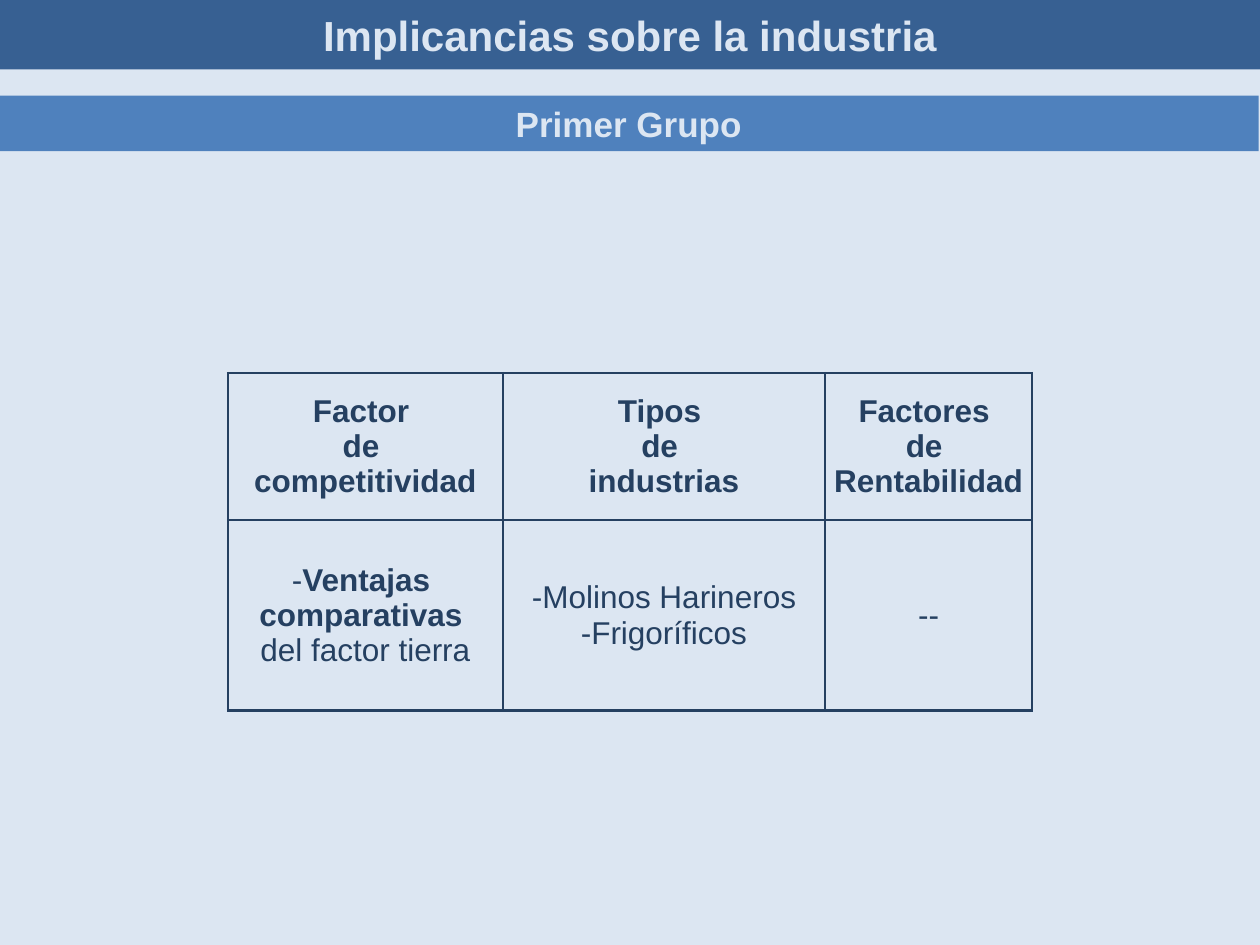
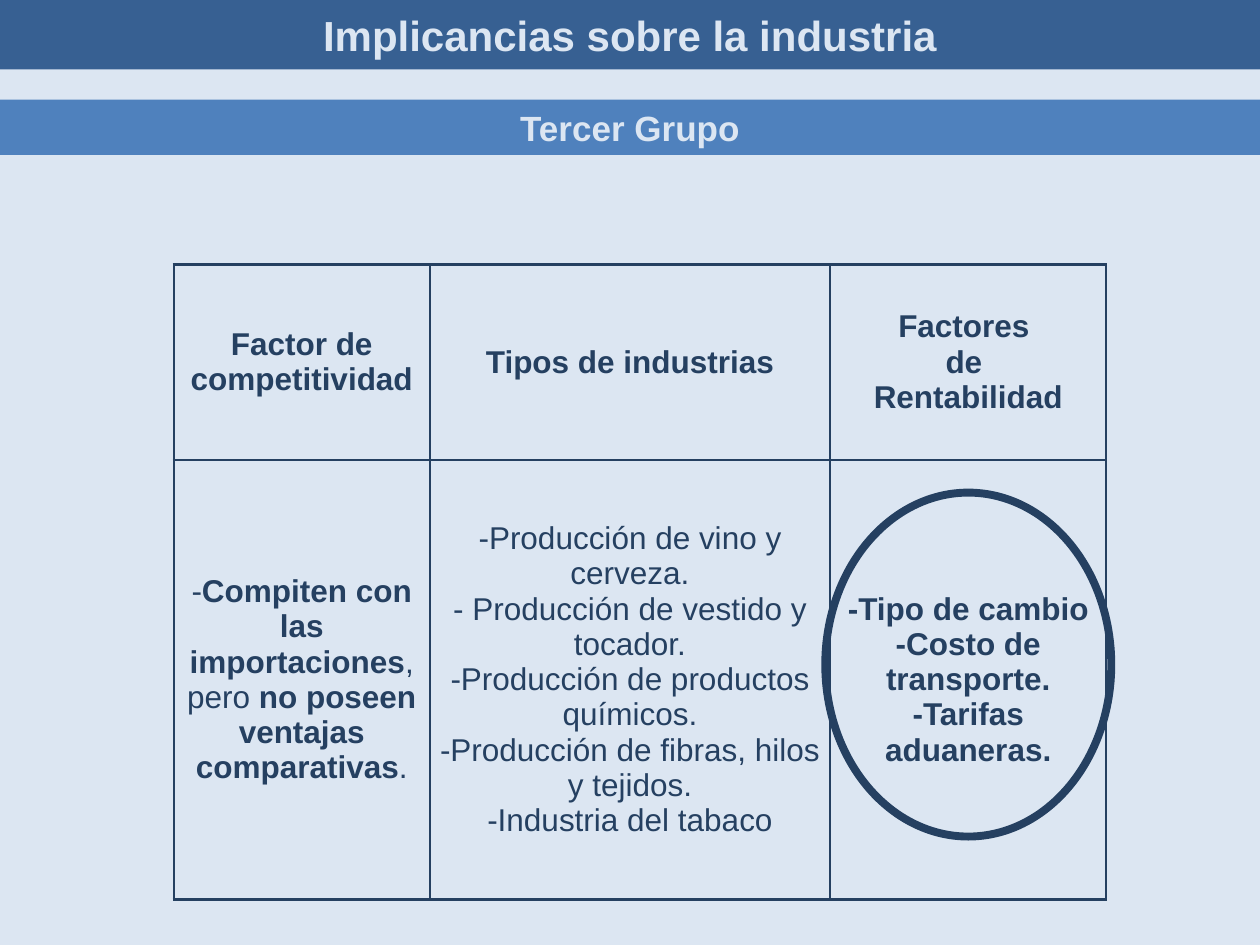
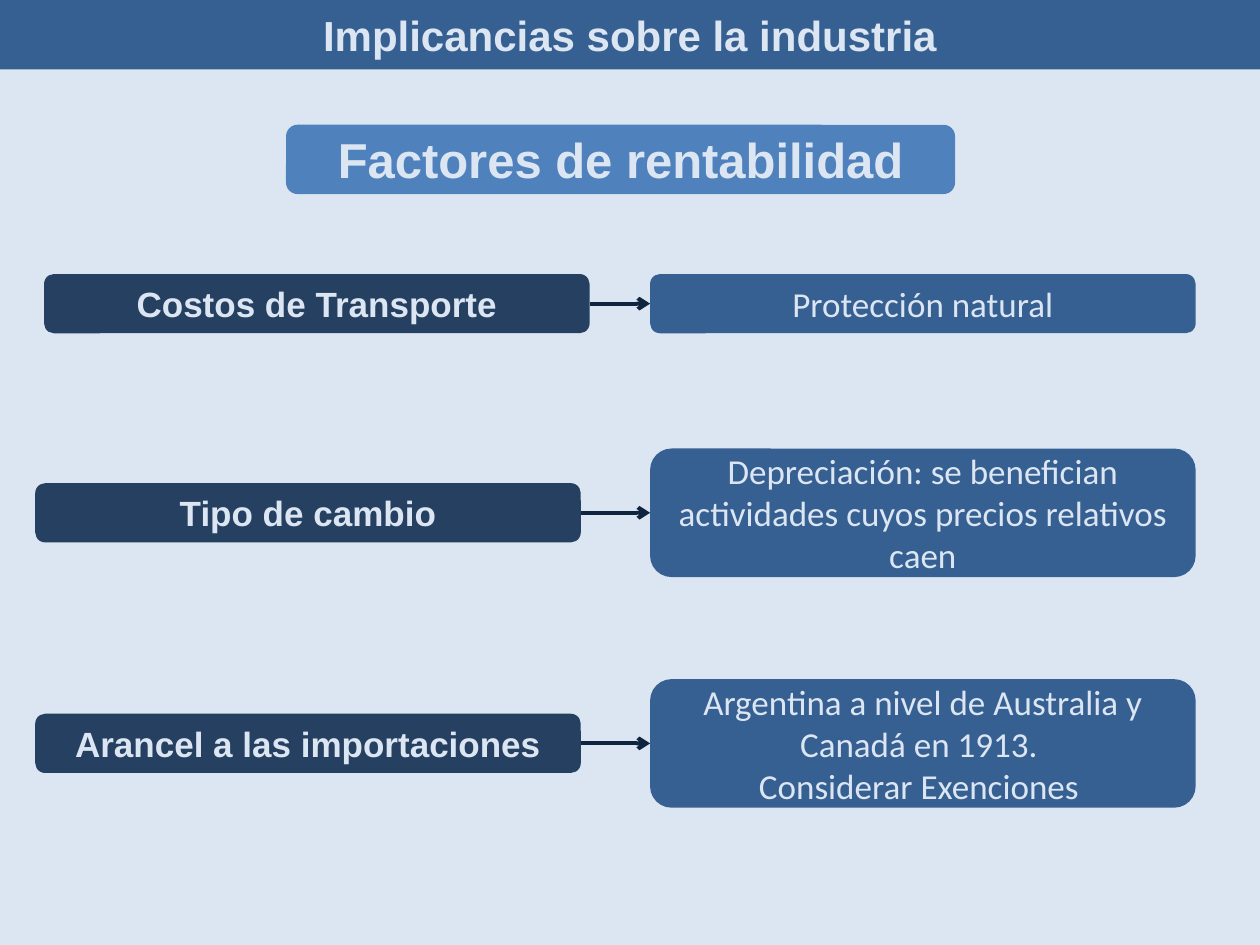
from dataclasses import dataclass

from lxml import etree
from pptx import Presentation
from pptx.dml.color import RGBColor
from pptx.enum import shapes, text
from pptx.oxml import ns
from pptx.util import Inches, Pt


@dataclass(frozen=True)
class Theme:
    pale: str = "DCE6F2"
    light: str = "4F81BD"
    medium: str = "376092"
    dark: str = "254061"
    arrow: str = "0F243E"
    heading_font: str = "Arial"
    body_font: str = "Calibri"
    table_size: float = 18
    body_size: float = 20
    title_size: float = 24
    topic_size: float = 28
    border_width: float = 1.5
    arrow_width: float = 2.25
    highlight_width: float = 4.5


@dataclass(frozen=True)
class Area:
    left: float
    top: float
    width: float
    height: float

    def lengths(self):
        return [Inches(n) for n in (self.left, self.top, self.width, self.height)]


@dataclass(frozen=True)
class Group:
    name: str
    band: Area
    left: float
    top: float
    columns: tuple[float, ...]
    rows: tuple[float, ...]
    cells: tuple[tuple[str, ...], ...]
    highlight: Area | None = None


@dataclass(frozen=True)
class Factor:
    name: str
    left: float
    middle: float
    effect: str
    effect_height: float


THEME = Theme()
SLIDE_WIDTH, SLIDE_HEIGHT = 10, 7.5
TITLE = "Implicancias sobre la industria"
TITLE_BAND = Area(0, 0, SLIDE_WIDTH, 0.55)
BOX_WIDTH, NAME_HEIGHT, EFFECT_LEFT = 4.33, 0.47, 5.16
PROFITABILITY = "**Factores \nde \nRentabilidad**"

GROUPS = (
    Group(
        "Primer Grupo", Area(-0.01, 0.76, SLIDE_WIDTH, 0.44),
        1.81, 2.96, (2.18, 2.56, 1.64), (1.17, 1.51),
        (
            ("**Factor \nde \ncompetitividad**", "**Tipos \nde \nindustrias**", PROFITABILITY),
            (
                "-**Ventajas \ncomparativas \n**del factor tierra",
                "-Molinos Harineros\n-Frigoríficos",
                "--",
            ),
        ),
    ),
    Group(
        "Tercer Grupo", Area(0, 0.79, SLIDE_WIDTH, 0.44),
        1.38, 2.1, (2.03, 3.18, 2.19), (1.55, 3.49),
        (
            ("**Factor de competitividad**", "**Tipos de industrias**", PROFITABILITY),
            (
                "-**Compiten con las importaciones**, pero "
                "**no poseen ventajas comparativas**.",
                "-Producción de vino y cerveza.\n"
                "- Producción de vestido y tocador.\n"
                "-Producción de productos químicos.\n"
                "-Producción de fibras, hilos y tejidos.\n"
                "-Industria del tabaco",
                "**-Tipo de cambio\n-Costo de transporte.\n-Tarifas aduaneras.**",
            ),
        ),
        Area(6.55, 3.91, 2.27, 2.73),
    ),
)

FACTORS = (
    Factor("Costos de Transporte", 0.35, 2.41, "Protección natural", NAME_HEIGHT),
    Factor(
        "Tipo de cambio", 0.28, 4.07,
        "Depreciación: se benefician actividades cuyos precios relativos caen", 1.02,
    ),
    Factor(
        "Arancel a las importaciones", 0.28, 5.9,
        "Argentina a nivel de Australia y Canadá en 1913. \nConsiderar Exenciones ", 1.02,
    ),
)


def rgb(color: str) -> RGBColor:
    return RGBColor.from_string(color)


def write(frame, content: str, *, size: float, color: str = THEME.pale,
          font: str = THEME.heading_font) -> None:
    frame.word_wrap = True
    bold = False
    for index, line in enumerate(content.split("\n")):
        paragraph = frame.paragraphs[0] if index == 0 else frame.add_paragraph()
        paragraph.alignment = text.PP_ALIGN.CENTER
        for part, words in enumerate(line.split("**")):
            if part:
                bold = not bold
            if words:
                run = paragraph.add_run()
                run.text = words
                run.font.size = Pt(size)
                run.font.name = font
                run.font.bold = bold
                run.font.color.rgb = rgb(color)


def add_box(slide, area: Area, fill: str, content: str, *, size: float = THEME.body_size,
            font: str = THEME.heading_font, kind=shapes.MSO_SHAPE.ROUNDED_RECTANGLE):
    box = slide.shapes.add_shape(kind, *area.lengths())
    box.shadow.inherit = False
    box.fill.solid()
    box.fill.fore_color.rgb = rgb(fill)
    box.line.fill.background()
    box.text_frame.vertical_anchor = text.MSO_ANCHOR.MIDDLE
    write(box.text_frame, content, size=size, font=font)
    return box


def add_title(slide) -> None:
    band = add_box(slide, TITLE_BAND, THEME.medium, f"**{TITLE}**", size=THEME.title_size)
    band.adjustments[0] = 0


def add_highlight(slide, area: Area) -> None:
    ring = slide.shapes.add_shape(shapes.MSO_SHAPE.OVAL, *area.lengths())
    ring.shadow.inherit = False
    ring.fill.background()
    ring.line.color.rgb = rgb(THEME.dark)
    ring.line.width = Pt(THEME.highlight_width)


def add_arrow(slide, source, target) -> None:
    arrow = slide.shapes.add_connector(shapes.MSO_CONNECTOR.STRAIGHT, 0, 0, 0, 0)
    arrow.begin_connect(source, 3)
    arrow.end_connect(target, 1)
    arrow.line.color.rgb = rgb(THEME.arrow)
    arrow.line.width = Pt(THEME.arrow_width)
    properties = arrow._element.spPr
    etree.SubElement(properties.find(ns.qn("a:ln")), ns.qn("a:tailEnd"), type="arrow")
    etree.SubElement(properties, ns.qn("a:effectLst"))


def set_borders(cell) -> None:
    properties = cell._tc.get_or_add_tcPr()
    for position, side in enumerate(("lnL", "lnR", "lnT", "lnB")):
        border = etree.Element(ns.qn(f"a:{side}"), w=str(Pt(THEME.border_width)))
        fill = etree.SubElement(border, ns.qn("a:solidFill"))
        etree.SubElement(fill, ns.qn("a:srgbClr"), val=THEME.dark)
        properties.insert(position, border)


def add_group_table(slide, group: Group) -> None:
    area = Area(group.left, group.top, sum(group.columns), sum(group.rows))
    table = slide.shapes.add_table(
        len(group.rows), len(group.columns), *area.lengths()
    ).table
    table.first_row = table.horz_banding = False
    for column, width in zip(table.columns, group.columns):
        column.width = Inches(width)
    for row, height, contents in zip(table.rows, group.rows, group.cells):
        row.height = Inches(height)
        for cell, content in zip(row.cells, contents):
            cell.fill.background()
            cell.margin_left = cell.margin_right = Inches(0.03)
            cell.margin_top = cell.margin_bottom = Inches(0)
            cell.vertical_anchor = text.MSO_ANCHOR.MIDDLE
            set_borders(cell)
            write(cell.text_frame, content, size=THEME.table_size, color=THEME.dark)


def add_slide(deck):
    slide = deck.slides.add_slide(deck.slide_layouts[6])
    slide.background.fill.solid()
    slide.background.fill.fore_color.rgb = rgb(THEME.pale)
    return slide


def add_group_slide(deck, group: Group) -> None:
    slide = add_slide(deck)
    add_group_table(slide, group)
    add_box(slide, group.band, THEME.light, f"**{group.name}**",
            kind=shapes.MSO_SHAPE.RECTANGLE)
    add_title(slide)
    if group.highlight:
        add_highlight(slide, group.highlight)


def add_factors_slide(deck) -> None:
    slide = add_slide(deck)
    add_box(slide, Area(2.27, 0.99, 5.31, 0.55), THEME.light,
            "**Factores de rentabilidad**", size=THEME.topic_size)
    for factor in FACTORS:
        name_area = Area(factor.left, factor.middle - NAME_HEIGHT / 2, BOX_WIDTH, NAME_HEIGHT)
        effect_area = Area(EFFECT_LEFT, factor.middle - factor.effect_height / 2,
                           BOX_WIDTH, factor.effect_height)
        name = add_box(slide, name_area, THEME.dark, f"**{factor.name}**")
        effect = add_box(slide, effect_area, THEME.medium, factor.effect,
                         font=THEME.body_font)
        add_arrow(slide, name, effect)
    add_title(slide)


def main() -> None:
    deck = Presentation()
    deck.slide_width = Inches(SLIDE_WIDTH)
    deck.slide_height = Inches(SLIDE_HEIGHT)
    for group in GROUPS:
        add_group_slide(deck, group)
    add_factors_slide(deck)
    deck.save("out.pptx")


if __name__ == "__main__":
    main()
